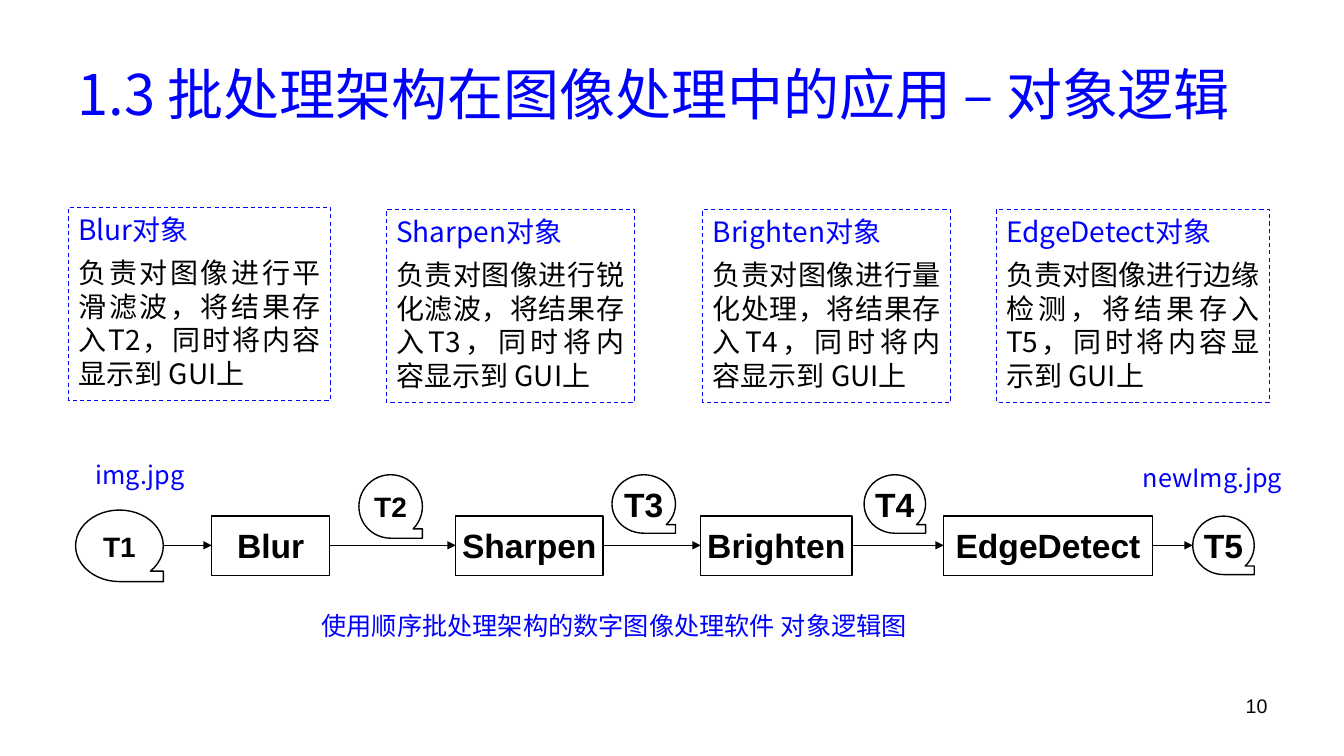
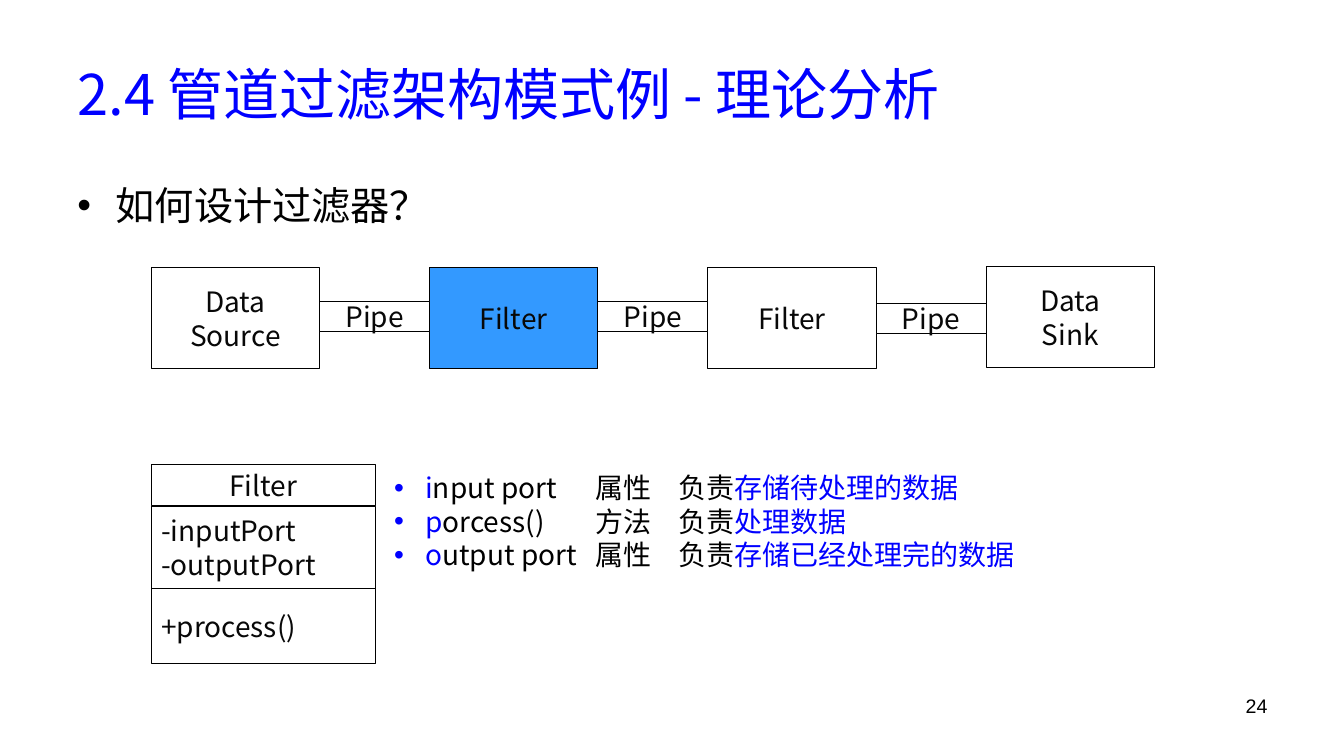
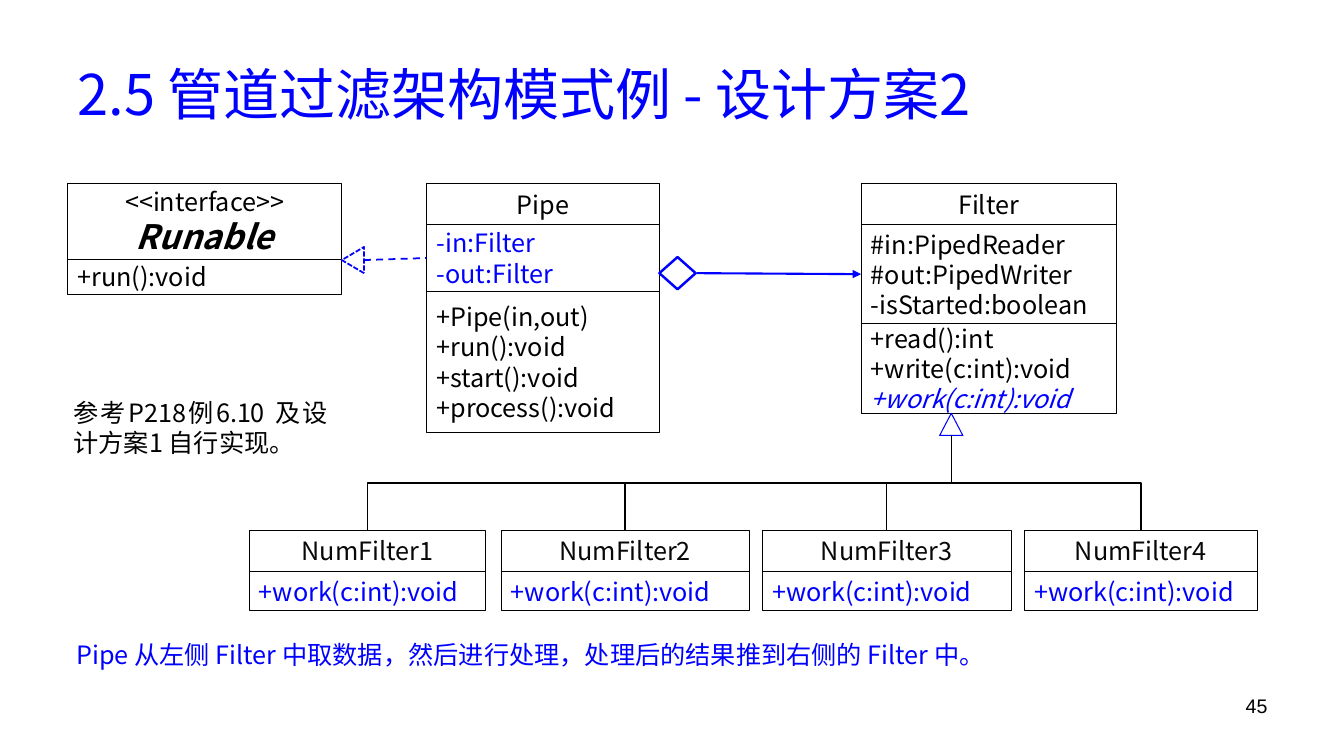
from dataclasses import dataclass, replace
from itertools import pairwise

from lxml.etree import SubElement
from pptx import Presentation
from pptx.dml.color import RGBColor
from pptx.enum.dml import MSO_LINE
from pptx.enum.shapes import MSO_CONNECTOR as CONNECTOR, MSO_SHAPE as SHAPE
from pptx.enum.text import MSO_ANCHOR as ANCHOR, PP_ALIGN as ALIGN
from pptx.oxml.ns import qn
from pptx.util import Inches, Pt

BLUE, BLACK, INK, WHITE, HIGHLIGHT = "0000FF", "000000", "080808", "FFFFFF", "3399FF"
CJK, LATIN = "Noto Sans CJK SC", "Arial"
INSETS = (0.1, 0.05, 0.1, 0.05)
NO_INSETS = (0, 0, 0, 0)


@dataclass(frozen=True)
class Style:
    size: int
    color: str = BLACK
    font: str = CJK
    bold: bool = False
    italic: bool = False


TITLE = Style(40, BLUE)
PAGE = Style(14, font=LATIN)
QUESTION = Style(28)
BODY = Style(20)
HEADING = Style(20, BLUE)
LABEL = Style(20, INK)
MEMBER = Style(18)
NOTE = Style(18, BLUE)
STAGE = Style(24, font=LATIN, bold=True)


def rgb(color):
    return RGBColor.from_string(color)


def format_run(run, style):
    font = run.font
    font.name, font.size = style.font, Pt(style.size)
    font.bold, font.italic = style.bold, style.italic
    font.color.rgb = rgb(style.color)
    SubElement(run._r.get_or_add_rPr(), qn("a:ea"), typeface=style.font)


def write(shape, lines, align=ALIGN.LEFT, anchor=ANCHOR.TOP, insets=INSETS, gap=0, wrap=True):
    frame = shape.text_frame
    frame.word_wrap = wrap
    frame.vertical_anchor = anchor
    frame.margin_left, frame.margin_top, frame.margin_right, frame.margin_bottom = map(Inches, insets)
    frame.text = "\n".join(text for text, _ in lines)
    for index, (paragraph, (_, style)) in enumerate(zip(frame.paragraphs, lines)):
        paragraph.alignment = align
        paragraph.space_before = Pt(gap if index else 0)
        for run in paragraph.runs:
            format_run(run, style)


def add_text(slide, box, text, style, **layout):
    area = slide.shapes.add_textbox(*map(Inches, box))
    write(area, [(text, style)], **layout)


def set_line(line, color, width, dash=None):
    line.color.rgb = rgb(color)
    line.width = Pt(width)
    if dash:
        line.dash_style = dash


def add_figure(slide, kind, box, color=BLACK, width=0.75, dash=None, fill=WHITE):
    figure = slide.shapes.add_shape(kind, *map(Inches, box))
    figure.shadow.inherit = False
    if fill:
        figure.fill.solid()
        figure.fill.fore_color.rgb = rgb(fill)
    else:
        figure.fill.background()
    set_line(figure.line, color, width, dash)
    return figure


def add_link(slide, start, end, color=BLACK, width=1, dash=None, arrow=False, kind=CONNECTOR.STRAIGHT):
    link = slide.shapes.add_connector(kind, *map(Inches, (*start, *end)))
    set_line(link.line, color, width, dash)
    SubElement(link._element.spPr, qn("a:effectLst"))
    if arrow:
        SubElement(link.line._get_or_add_ln(), qn("a:tailEnd"), type="triangle")
    return link


def add_riser(slide, start, end):
    (x1, y1), (x2, y2) = start, end
    mid_x, mid_y = (x1 + x2) / 2, (y1 + y2) / 2
    reach, offset = (y1 - y2) / 2, x1 - mid_x
    riser = add_link(slide, (mid_x - reach, mid_y + offset), (mid_x + reach, mid_y - offset),
                     kind=CONNECTOR.ELBOW)
    riser._element.spPr.find(qn("a:xfrm")).set("rot", str(270 * 60000))


def add_bullets(slide, box, items, indent, tabs=(), bullet_color=BLACK):
    frame = slide.shapes.add_textbox(*map(Inches, box)).text_frame
    frame.word_wrap = True
    for index, runs in enumerate(items):
        paragraph = frame.paragraphs[0] if index == 0 else frame.add_paragraph()
        props = paragraph._p.get_or_add_pPr()
        props.set("marL", str(Inches(indent)))
        props.set("indent", str(-Inches(indent)))
        SubElement(SubElement(props, qn("a:buClr")), qn("a:srgbClr"), val=bullet_color)
        SubElement(props, qn("a:buFont"), typeface=LATIN)
        SubElement(props, qn("a:buChar"), char="•")
        if tabs:
            stops = SubElement(props, qn("a:tabLst"))
            for stop in tabs:
                SubElement(stops, qn("a:tab"), pos=str(Inches(stop)), algn="l")
        for text, style in runs:
            run = paragraph.add_run()
            run.text = text
            format_run(run, style)


def add_class(slide, left, top, width, header, *sections):
    for index, (height, lines) in enumerate((header, *sections)):
        part = add_figure(slide, SHAPE.RECTANGLE, (left, top, width, height))
        write(part, lines, ALIGN.LEFT if index else ALIGN.CENTER, ANCHOR.MIDDLE)
        top += height


def members(style, *names):
    return [(name, style) for name in names]


def start_slide(deck, title, page):
    slide = deck.slides.add_slide(deck.slide_layouts[6])
    add_text(slide, (0.67, 0.3, 12, 1.25), title, TITLE, anchor=ANCHOR.MIDDLE)
    add_text(slide, (9.56, 6.83, 3.11, 0.52), page, PAGE, align=ALIGN.RIGHT)
    return slide


def build_object_logic(deck):
    slide = start_slide(deck, "1.3 批处理架构在图像处理中的应用 – 对象逻辑", "10")
    duties = [
        ("Blur", "平滑滤波", "T2", 0.68, 2.06, 2.6),
        ("Sharpen", "锐化滤波", "T3", 3.83, 2.08, 2.46),
        ("Brighten", "量化处理", "T4", 6.97, 2.08, 2.46),
        ("EdgeDetect", "边缘检测", "T5", 9.88, 2.08, 2.71),
    ]
    for name, task, target, left, top, width in duties:
        card = add_figure(slide, SHAPE.RECTANGLE, (left, top, width, 1.91), BLUE,
                          dash=MSO_LINE.DASH, fill=None)
        duty = f"负责对图像进行{task}，将结果存入{target}，同时将内容显示到 GUI上"
        write(card, [(f"{name}对象", HEADING), (duty, BODY)], ALIGN.JUSTIFY, gap=6.7)

    stages = [("Blur", 2.1, 1.17), ("Sharpen", 4.52, 1.46), ("Brighten", 6.95, 1.5), ("EdgeDetect", 9.36, 2.07)]
    for name, left, width in stages:
        stage = add_figure(slide, SHAPE.RECTANGLE, (left, 5.12, width, 0.59), width=1)
        write(stage, [(name, STAGE)], ALIGN.CENTER, ANCHOR.MIDDLE, (0, 0.05, 0, 0.06), wrap=False)

    tapes = [
        ("T1", 20, (0.75, 5.06, 0.87, 0.71)),
        ("T2", 20, (3.56, 4.71, 0.63, 0.63)),
        ("T3", 24, (6.07, 4.71, 0.63, 0.58)),
        ("T4", 24, (8.57, 4.71, 0.61, 0.58)),
        ("T5", 24, (11.83, 5.12, 0.61, 0.58)),
    ]
    for name, size, box in tapes:
        tape = add_figure(slide, SHAPE.FLOWCHART_SEQUENTIAL_ACCESS_STORAGE, box, width=1)
        write(tape, [(name, replace(STAGE, size=size))], ALIGN.CENTER, ANCHOR.MIDDLE, NO_INSETS, wrap=False)

    flow = [(0.75, 0.87), *((left, width) for _, left, width in stages), (11.83, 0.61)]
    for (left, width), (following, _) in pairwise(flow):
        add_link(slide, (left + width, 5.41), (following, 5.41), arrow=True)

    for name, box in (("img.jpg", (0.68, 4.56, 1.42, 0.47)), ("newImg.jpg", (11.04, 4.59, 1.97, 0.5))):
        add_text(slide, box, name, NOTE, align=ALIGN.CENTER, insets=NO_INSETS)
    add_text(slide, (3.09, 6.01, 7.16, 0.4), "使用顺序批处理架构的数字图像处理软件 对象逻辑图", NOTE)


def build_filter_theory(deck):
    slide = start_slide(deck, "2.4 管道过滤架构模式例 - 理论分析", "24")
    add_bullets(slide, (0.67, 1.75, 12, 0.6), [[("如何设计过滤器？", QUESTION)]], 0.38)

    left, node_width, pipe_width = 1.5, 1.67, 1.09
    nodes = [(("Data", "Source"), WHITE, 2.65), (("Filter",), HIGHLIGHT, 2.65),
             (("Filter",), WHITE, 2.65), (("Data", "Sink"), WHITE, 2.64)]
    for index, (names, fill, top) in enumerate(nodes):
        x = left + index * (node_width + pipe_width)
        node = add_figure(slide, SHAPE.RECTANGLE, (x, top, node_width, 1.01), fill=fill)
        write(node, members(LABEL, *names), ALIGN.CENTER, ANCHOR.MIDDLE)
    for index, top in enumerate((2.99, 2.99, 3.01)):
        x = left + node_width + index * (node_width + pipe_width)
        pipe = add_figure(slide, SHAPE.RECTANGLE, (x, top, pipe_width, 0.3))
        write(pipe, [("Pipe", LABEL)], ALIGN.CENTER, ANCHOR.MIDDLE)

    add_class(slide, left, 4.61, 2.22,
              (0.41, members(LABEL, "Filter")),
              (0.82, members(LABEL, "-inputPort", "-outputPort")),
              (0.74, members(LABEL, "+process()")))
    roles = [
        ("i", "nput port", "属性", "存储待处理的数据"),
        ("p", "orcess()", "方法", "处理数据"),
        ("o", "utput port", "属性", "存储已经处理完的数据"),
    ]
    items = [[(initial, HEADING), (f"{rest}\t{kind}\t负责", BODY), (duty, HEADING)]
             for initial, rest, kind, duty in roles]
    add_bullets(slide, (3.81, 4.62, 8.32, 1.11), items, 0.31, (2, 2.82), BLUE)


def build_second_design(deck):
    slide = start_slide(deck, "2.5 管道过滤架构模式例 - 设计方案2", "45")
    add_class(slide, 4.23, 1.82, 2.31,
              (0.41, members(MEMBER, "Pipe")),
              (0.66, members(NOTE, "-in:Filter", "-out:Filter")),
              (1.4, members(MEMBER, "+Pipe(in,out)", "+run():void", "+start():void", "+process():void")))
    add_class(slide, 8.54, 1.82, 2.53,
              (0.41, members(MEMBER, "Filter")),
              (0.98, members(MEMBER, "#in:PipedReader", "#out:PipedWriter", "-isStarted:boolean")),
              (0.89, [*members(MEMBER, "+read():int", "+write(c:int):void"),
                      ("+work(c:int):void", replace(NOTE, italic=True))]))
    add_class(slide, 0.67, 1.82, 2.72,
              (0.75, [("<<interface>>", MEMBER), ("Runable", Style(24, bold=True, italic=True))]),
              (0.35, members(MEMBER, "+run():void")))

    add_figure(slide, SHAPE.FLOWCHART_DECISION, (6.54, 2.55, 0.36, 0.32), BLUE, 1.75)
    add_link(slide, (6.91, 2.71), (8.54, 2.72), BLUE, 1.5, arrow=True)
    realization = add_figure(slide, SHAPE.ISOSCELES_TRIANGLE, (3.37, 2.47, 0.26, 0.22), BLUE, 1.25,
                             MSO_LINE.SQUARE_DOT)
    realization.rotation = 270
    add_link(slide, (3.61, 2.58), (4.23, 2.56), BLUE, 1.25, MSO_LINE.DASH)

    add_figure(slide, SHAPE.ISOSCELES_TRIANGLE, (9.32, 4.1, 0.23, 0.22), BLUE)
    for number, (left, width) in enumerate(((2.47, 2.35), (4.97, 2.46), (7.56, 2.47), (10.16, 2.31)), 1):
        add_class(slide, left, 5.26, width,
                  (0.41, members(replace(MEMBER, color=INK), f"NumFilter{number}")),
                  (0.39, members(NOTE, "+work(c:int):void")))
        add_riser(slide, (left + width / 2, 5.26), (9.44, 4.32))

    add_text(slide, (0.66, 6.29, 11.82, 0.4),
             "Pipe 从左侧 Filter 中取数据，然后进行处理，处理后的结果推到右侧的 Filter 中。",
             NOTE, align=ALIGN.JUSTIFY)
    add_text(slide, (0.63, 3.89, 2.72, 0.71), "参考P218例6.10 及设计方案1 自行实现。", MEMBER, align=ALIGN.JUSTIFY)


def main():
    deck = Presentation()
    deck.slide_width, deck.slide_height = Inches(13.33), Inches(7.5)
    build_object_logic(deck)
    build_filter_theory(deck)
    build_second_design(deck)
    deck.save("out.pptx")


if __name__ == "__main__":
    main()
